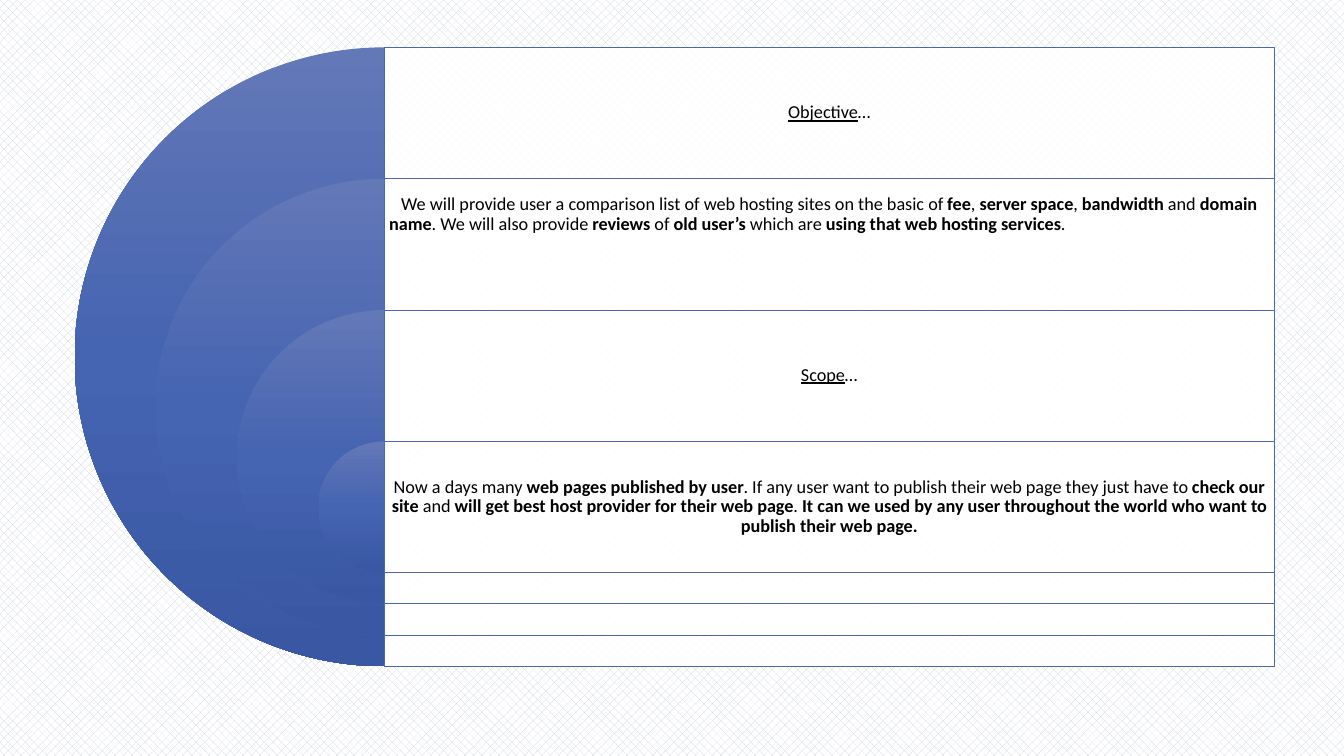
from copy import deepcopy

from lxml.etree import SubElement
from pptx import Presentation
from pptx.dml.color import RGBColor
from pptx.enum.dml import MSO_PATTERN
from pptx.enum.shapes import MSO_SHAPE as Shape
from pptx.enum.text import MSO_ANCHOR as Anchor, PP_ALIGN as Align
from pptx.oxml.ns import qn
from pptx.util import Inches, Pt

WHITE = RGBColor(0xFF, 0xFF, 0xFF)
BLACK = RGBColor(0, 0, 0)
WEAVE = RGBColor(0xCC, 0xD2, 0xDD)
EDGE = RGBColor(0x4A, 0x66, 0xAC)
SHADES = [(0, RGBColor(0x63, 0x78, 0xB7)),
          (0.5, RGBColor(0x45, 0x64, 0xB1)),
          (1, RGBColor(0x39, 0x57, 0xA2))]

# Runs are (text, style): b bold, u underlined
OBJECT = [("Objective", "u"), ("…", "")]
AIM = [
    ("We will provide user a comparison list of web hosting sites "
     "on the basic of ", ""),
    ("fee", "b"), (",", ""), (" server space", "b"), (", ", ""),
    ("bandwidth ", "b"), ("and", ""), (" domain name", "b"),
    (". We will also provide ", ""), ("reviews", "b"), (" of ", ""),
    ("old user’s", "b"), (" which are ", ""),
    ("using that web hosting services", "b"), (".", "")]
SCOPE = [("Scope", "u"), ("…", "")]
REACH = [
    ("Now a days many ", ""), ("web pages published by user", "b"),
    (". If any user want to publish their web page they just have to ", ""),
    ("check our site", "b"), (" and ", ""),
    ("will get best host provider for their web page", "b"), (". ", ""),
    ("It can we used by any user throughout the world who want to "
     "publish their web page.", "b")]
LAYERS = [(OBJECT, False), (AIM, True), (SCOPE, False), (REACH, False)]


def add_pie(slide, mid, top, size):
    """Left half of a disc, shaded from top to bottom."""
    pie = slide.shapes.add_shape(
        Shape.PIE, Inches(mid - size / 2), Inches(top),
        Inches(size), Inches(size))
    pie.shadow.inherit = False
    pie.adjustments[0], pie.adjustments[1] = 54, 162
    pie.line.fill.background()
    pie.fill.gradient()
    pie.fill.gradient_angle = 270
    stops = pie._element.spPr.find(qn("a:gradFill")).find(qn("a:gsLst"))
    stops.insert(1, deepcopy(stops[0]))
    for stop, (pos, shade) in zip(pie.fill.gradient_stops, SHADES):
        stop.position = pos
        stop.color.rgb = shade


def add_panel(slide, left, top, width, height):
    """Slightly see-through white panel with a thin edge."""
    panel = slide.shapes.add_shape(
        Shape.RECTANGLE, Inches(left), Inches(top),
        Inches(width), Inches(height))
    panel.shadow.inherit = False
    panel.fill.solid()
    panel.fill.fore_color.rgb = WHITE
    tone = panel._element.spPr.find(qn("a:solidFill"))[0]
    SubElement(tone, qn("a:alpha")).set("val", "90000")
    panel.line.color.rgb = EDGE
    panel.line.width = Pt(0.5)


def add_words(slide, left, top, width, height, runs, prose):
    """Text centred in its box, or set from the top left if prose."""
    box = slide.shapes.add_textbox(
        Inches(left), Inches(top), Inches(width), Inches(height))
    frame = box.text_frame
    frame.word_wrap = True
    frame.margin_left = frame.margin_right = Inches(0.05)
    frame.margin_top = Inches(0.16 if prose else 0.05)
    frame.margin_bottom = Inches(0.05)
    frame.vertical_anchor = Anchor.TOP if prose else Anchor.MIDDLE
    para = frame.paragraphs[0]
    para.alignment = Align.LEFT if prose else Align.CENTER
    para.line_spacing = 0.9
    if prose:
        para._p.get_or_add_pPr().set("indent", str(Inches(0.12)))
    for text, style in runs:
        run = para.add_run()
        run.text = text
        font = run.font
        font.name, font.size = "Calibri", Pt(13)
        font.color.rgb = BLACK
        font.bold = style == "b"
        font.underline = style == "u"


def add_target(slide, left, top, width, size):
    """Nested half discs, each with a panel and its text."""
    mid = left + size / 2
    last = 1.3  # size of the innermost disc
    gaps = len(LAYERS) - 1
    drop = 3.91 / gaps
    shrink = (size - last) / gaps
    for i, (runs, prose) in enumerate(LAYERS):
        y, side = top + i * drop, size - i * shrink
        add_pie(slide, mid, y, side)
        add_panel(slide, mid, y, width, side)
        add_words(slide, mid, y, width, last, runs, prose)


def main():
    deck = Presentation()
    deck.slide_width, deck.slide_height = Inches(13.33), Inches(7.5)
    slide = deck.slides.add_slide(deck.slide_layouts[6])
    # Woven background
    back = slide.background.fill
    back.patterned()
    back.pattern = MSO_PATTERN.WEAVE
    back.fore_color.rgb = WEAVE
    back.back_color.rgb = WHITE
    add_target(slide, 0.74, 0.47, 8.83, 6.14)
    deck.save("out.pptx")


if __name__ == "__main__":
    main()
